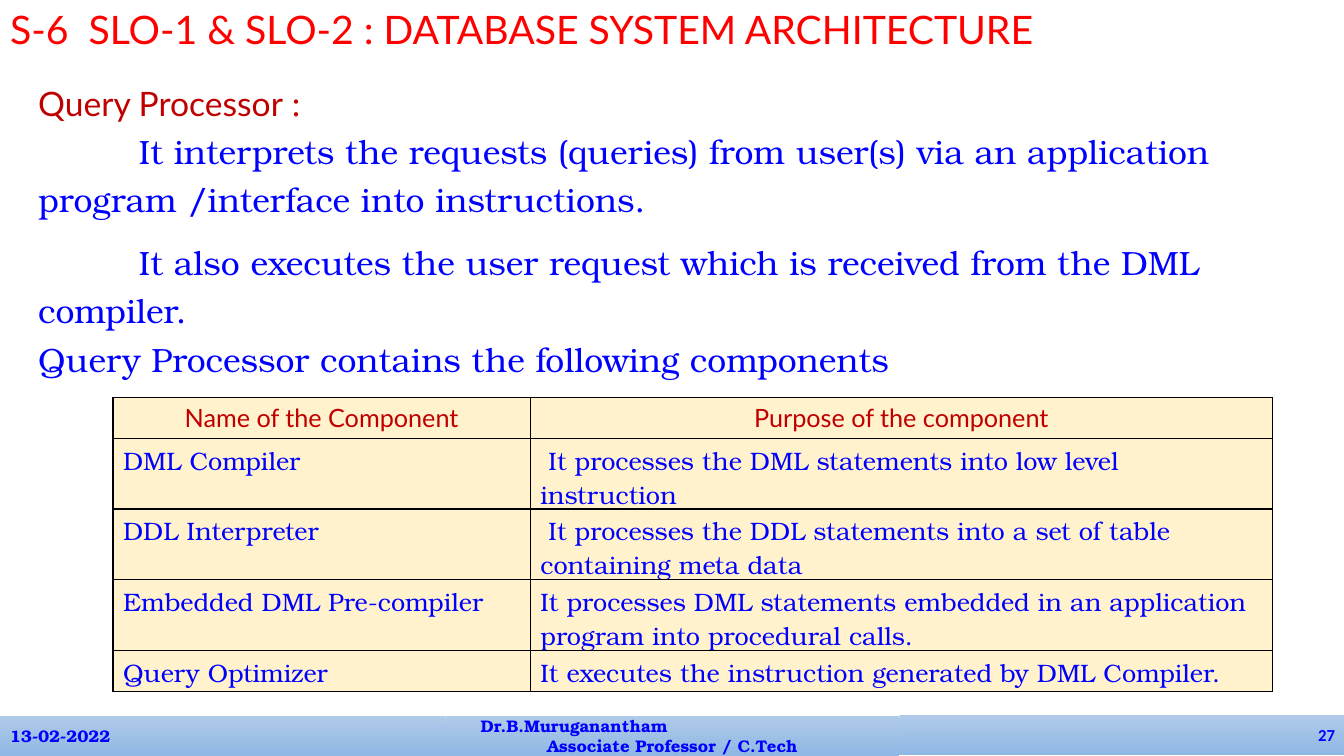
from lxml.etree import SubElement
from pptx import Presentation
from pptx.dml.color import RGBColor
from pptx.enum.shapes import MSO_SHAPE as Shape
from pptx.enum.text import MSO_ANCHOR as Anchor, PP_ALIGN as Align
from pptx.oxml.ns import qn
from pptx.util import Inches, Pt

RED = RGBColor(0xFF, 0, 0)
CRIMSON = RGBColor(0xC0, 0, 0)
BLUE = RGBColor(0, 0, 0xFF)
CREAM = RGBColor(0xFF, 0xF2, 0xCC)
BAR_TOP = RGBColor(0xB0, 0xCA, 0xE9)
BAR_BOTTOM = RGBColor(0x90, 0xB8, 0xE4)
SANS, SERIF = "Lato", "TeX Gyre Bonum"

TITLE = {"name": SANS, "size": Pt(28), "bold": False}
HEADING = {"name": SANS, "size": Pt(24)}
BODY = {"name": SERIF, "size": Pt(24)}
TABLE_HEAD = {"name": SANS, "size": Pt(18), "bold": False}
TABLE_BODY = {"name": SERIF, "size": Pt(18), "bold": False}
FOOTER = {"name": SERIF, "size": Pt(12), "bold": True}
PAGE_NUMBER = {**FOOTER, "name": "Calibri"}

EXPLANATION = [
    ("It interprets the requests (queries) from user(s) via an application "
     "program /interface into instructions.", 1, 0),
    ("It also executes the user request which is received from the DML compiler.", 1, 10),
    ("Query Processor contains the following components", 0, 0),
]
COMPONENTS = [
    ("Name of the Component", "Purpose of the component"),
    ("DML Compiler", " It processes the DML statements into low level instruction"),
    ("DDL Interpreter",
     " It processes the DDL statements into a set of table containing meta data"),
    ("Embedded DML Pre-compiler",
     "It processes DML statements embedded in an application program into procedural calls."),
    ("Query Optimizer", "It executes the instruction generated by DML Compiler."),
]
COLUMN_WIDTHS = (4.14, 7.36)
ROW_HEIGHTS = (0.41, 0.7, 0.7, 0.7, 0.41)


def add_run(paragraph, text, style, color):
    """Add a run with the given font values and colour."""
    run = paragraph.add_run()
    run.text = text
    for key, value in style.items():
        setattr(run.font, key, value)
    run.font.color.rgb = color


def place_title(slide, left, top, width, height):
    """Move and format the title placeholder."""
    title = slide.shapes.title
    title.left, title.top, title.width, title.height = map(Inches, (left, top, width, height))
    frame = title.text_frame
    frame.word_wrap = True
    frame.vertical_anchor = Anchor.TOP
    paragraph = frame.paragraphs[0]
    paragraph.alignment = Align.LEFT
    paragraph.line_spacing = 1.0
    add_run(paragraph, "S-6  SLO-1 & SLO-2 : DATABASE SYSTEM ARCHITECTURE", TITLE, RED)


def add_explanation(slide, left, top, width, height):
    """Write the heading and the paragraphs on the query processor."""
    box = slide.shapes.add_textbox(*map(Inches, (left, top, width, height)))
    frame = box.text_frame
    frame.word_wrap = True
    heading = frame.paragraphs[0]
    heading.line_spacing = 1.2
    add_run(heading, "Query Processor ", HEADING, CRIMSON)
    add_run(heading, ":", BODY, CRIMSON)
    for text, indent, space in EXPLANATION:
        paragraph = frame.add_paragraph()
        paragraph.line_spacing = 1.2
        paragraph.space_before = Pt(space)
        properties = paragraph._p.get_or_add_pPr()
        properties.set("marL", "0")
        properties.set("indent", str(Inches(indent)))
        add_run(paragraph, text, BODY, BLUE)


def add_borders(cell):
    """Draw thin black lines on all four sides of a cell."""
    properties = cell._tc.get_or_add_tcPr()
    for position, side in enumerate(("lnL", "lnR", "lnT", "lnB")):
        line = SubElement(properties, qn(f"a:{side}"), w=str(Pt(1)))
        solid = SubElement(line, qn("a:solidFill"))
        SubElement(solid, qn("a:srgbClr"), val="000000")
        properties.insert(position, line)


def add_components(slide, left, top):
    """Build the table of components and their purposes."""
    table = slide.shapes.add_table(
        len(COMPONENTS), len(COLUMN_WIDTHS), Inches(left), Inches(top),
        Inches(sum(COLUMN_WIDTHS)), Inches(sum(ROW_HEIGHTS))).table
    for column, width in zip(table.columns, COLUMN_WIDTHS):
        column.width = Inches(width)
    for index, (texts, height) in enumerate(zip(COMPONENTS, ROW_HEIGHTS)):
        table.rows[index].height = Inches(height)
        style, color, alignment = (
            (TABLE_BODY, BLUE, Align.LEFT) if index else (TABLE_HEAD, CRIMSON, Align.CENTER))
        for cell, text in zip(table.rows[index].cells, texts):
            cell.fill.solid()
            cell.fill.fore_color.rgb = CREAM
            add_borders(cell)
            paragraph = cell.text_frame.paragraphs[0]
            paragraph.alignment = alignment
            add_run(paragraph, text, style, color)


def add_footer_part(slide, left, top, width, height, lines, style):
    """Add one gradient part of the footer; lines hold text, alignment and margin."""
    bar = slide.shapes.add_shape(Shape.RECTANGLE, *map(Inches, (left, top, width, height)))
    bar.shadow.inherit = False
    bar.line.fill.background()
    bar.fill.gradient()
    bar.fill.gradient_angle = 270
    for stop, color in zip(bar.fill.gradient_stops, (BAR_TOP, BAR_BOTTOM)):
        stop.color.rgb = color
    frame = bar.text_frame
    frame.word_wrap = True
    frame.vertical_anchor = Anchor.MIDDLE
    for index, (text, alignment, margin) in enumerate(lines):
        paragraph = frame.add_paragraph() if index else frame.paragraphs[0]
        paragraph.alignment = alignment
        paragraph._p.get_or_add_pPr().set("marL", str(Inches(margin)))
        add_run(paragraph, text, style, BLUE)


def add_footer(slide, top, height):
    """Place date, author and page number side by side."""
    author = [("Dr.B.Muruganantham", Align.LEFT, 0.25),
              ("Associate Professor / C.Tech", Align.CENTER, 0)]
    add_footer_part(slide, 0, top, 4.42, height, [("13-02-2022", Align.LEFT, 0)], FOOTER)
    add_footer_part(slide, 4.42, top, 4.5, height, author, FOOTER)
    add_footer_part(slide, 8.92, top - 0.01, 4.42, height, [("27", Align.RIGHT, 0)], PAGE_NUMBER)


def main():
    """Build and save the slide."""
    deck = Presentation()
    deck.slide_width, deck.slide_height = Inches(13.33), Inches(7.5)
    slide = deck.slides.add_slide(deck.slide_layouts[5])
    place_title(slide, 0, 0, 12, 0.57)
    add_explanation(slide, 0.28, 0.69, 12.51, 3.23)
    add_components(slide, 1.12, 3.94)
    add_footer(slide, 7.1, 0.4)
    deck.save("out.pptx")


if __name__ == "__main__":
    main()
